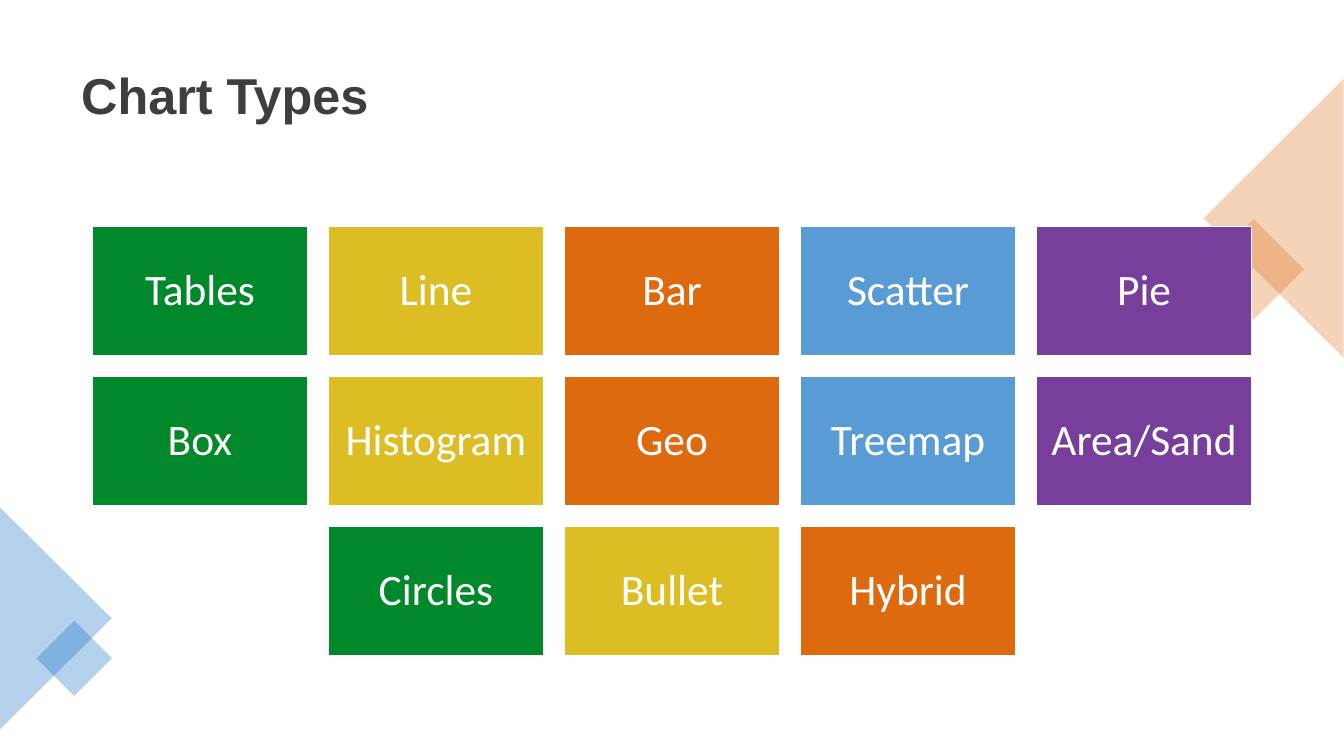
"""Build the Chart Types slide: a titled grid of coloured tiles."""
from lxml import etree
from pptx import Presentation
from pptx.dml.color import RGBColor
from pptx.enum import shapes, text
from pptx.oxml import ns
from pptx.util import Pt

WHITE = RGBColor(0xFF, 0xFF, 0xFF)
CHARCOAL = RGBColor(0x3E, 0x3E, 0x3E)
GREEN = RGBColor(0x00, 0x88, 0x2B)
YELLOW = RGBColor(0xDC, 0xBD, 0x23)
ORANGE = RGBColor(0xDE, 0x6A, 0x10)
SKY = RGBColor(0x59, 0x9B, 0xD5)
PURPLE = RGBColor(0x77, 0x3F, 0x9B)
BLUE = RGBColor(0x03, 0x65, 0xC0)
COLUMN_COLORS = (GREEN, YELLOW, ORANGE, SKY, PURPLE)

CHART_ROWS = (
    ("Tables", "Line", "Bar", "Scatter", "Pie"),
    ("Box", "Histogram", "Geo", "Treemap", "Area/Sand"),
    ("Circles", "Bullet", "Hybrid"),
)
GRID_LEFT, GRID_TOP = 132.4, 324
TILE_WIDTH, TILE_HEIGHT = 306.6, 183.9
COLUMN_PITCH, ROW_PITCH = 337.2, 214.2


def write(frame, words, *, font, size, color, bold=False, align=None, inset=(0, 0)):
    frame.word_wrap = True
    frame.vertical_anchor = text.MSO_ANCHOR.MIDDLE
    frame.margin_left = frame.margin_right = Pt(inset[0])
    frame.margin_top = frame.margin_bottom = Pt(inset[1])
    paragraph = frame.paragraphs[0]
    paragraph.alignment = align
    paragraph.line_spacing = 0.9
    run = paragraph.add_run()
    run.text = words
    run.font.name = font
    run.font.size = Pt(size)
    run.font.bold = bold
    run.font.color.rgb = color


class ChartTypesSlide:
    title_style = dict(font="Arial", size=72, color=CHARCOAL, bold=True,
                       align=text.PP_ALIGN.LEFT, inset=(14.4, 7.2))
    tile_style = dict(font="Calibri", size=62, color=WHITE,
                      align=text.PP_ALIGN.CENTER, inset=(18.7, 18.7))

    def __init__(self, deck):
        self.slide = deck.slides.add_slide(deck.slide_layouts[6])

    def title(self, words, *box):
        heading = self.slide.shapes.add_textbox(*map(Pt, box))
        write(heading.text_frame, words, **self.title_style)

    def block(self, kind, color, *box):
        block = self.slide.shapes.add_shape(kind, *map(Pt, box))
        block.shadow.inherit = False
        block.fill.solid()
        block.fill.fore_color.rgb = color
        return block

    def accent(self, kind, color, rotation, *box):
        accent = self.block(kind, color, *box)
        accent.line.fill.background()
        accent.rotation = rotation
        tint = accent.fill._xPr.find(ns.qn("a:solidFill"))[0]
        etree.SubElement(tint, ns.qn("a:alpha")).set("val", "29000")

    def tile(self, words, color, left, top):
        tile = self.block(shapes.MSO_SHAPE.RECTANGLE, color,
                          left, top, TILE_WIDTH, TILE_HEIGHT)
        tile.line.color.rgb = WHITE
        tile.line.width = Pt(1)
        write(tile.text_frame, words, **self.tile_style)


deck = Presentation()
deck.slide_width, deck.slide_height = Pt(1920), Pt(1080)
page = ChartTypesSlide(deck)
page.title("Chart Types", 101.5, 50.4, 1717.2, 178.6)

SQUARE, TRIANGLE = shapes.MSO_SHAPE.RECTANGLE, shapes.MSO_SHAPE.ISOSCELES_TRIANGLE
page.accent(SQUARE, ORANGE, 45, 1740.2, 334, 101.6, 101.6)
page.accent(TRIANGLE, ORANGE, 270, 1620, 211.7, 398.9, 200.2)
page.accent(TRIANGLE, BLUE, 90, -79.2, 803.5, 317.6, 159.8)
page.accent(SQUARE, BLUE, 45, 67.7, 902.2, 76.4, 76.4)

for row, names in enumerate(CHART_ROWS):
    indent = (len(COLUMN_COLORS) - len(names)) / 2
    for column, (name, color) in enumerate(zip(names, COLUMN_COLORS)):
        page.tile(name, color, GRID_LEFT + (indent + column) * COLUMN_PITCH,
                  GRID_TOP + row * ROW_PITCH)

deck.save("out.pptx")
